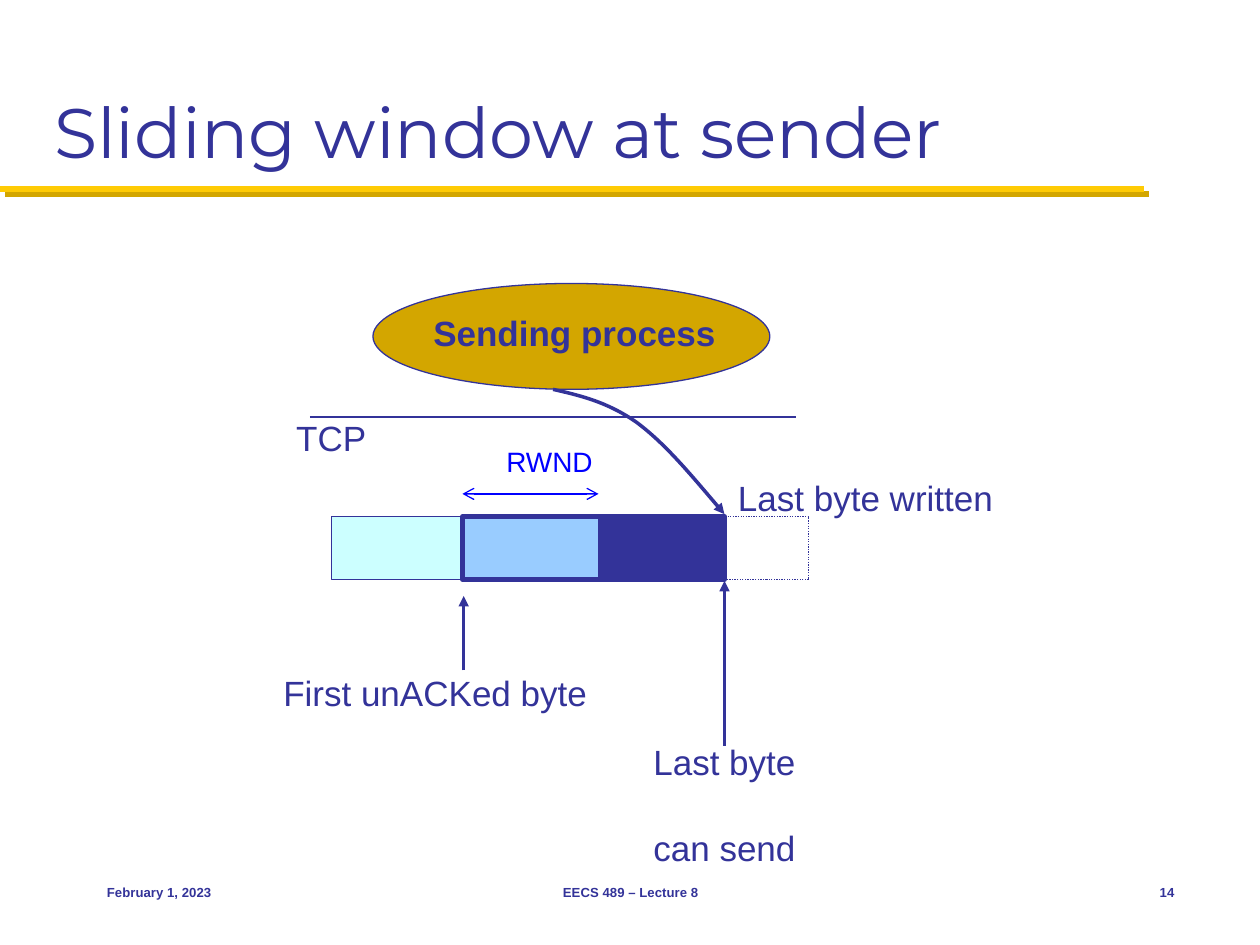
from dataclasses import dataclass

from lxml import etree
from pptx import Presentation
from pptx.dml.color import RGBColor
from pptx.enum.dml import MSO_LINE
from pptx.enum.shapes import MSO_CONNECTOR, MSO_SHAPE
from pptx.enum.text import MSO_ANCHOR, MSO_AUTO_SIZE, PP_ALIGN
from pptx.oxml.ns import qn
from pptx.util import Inches, Pt

STRAIGHT = MSO_CONNECTOR.STRAIGHT
RECT, OVAL = MSO_SHAPE.RECTANGLE, MSO_SHAPE.OVAL
DOTTED = MSO_LINE.ROUND_DOT
LEFT, CENTER, RIGHT = PP_ALIGN.LEFT, PP_ALIGN.CENTER, PP_ALIGN.RIGHT
TOP, MIDDLE, BOTTOM = MSO_ANCHOR.TOP, MSO_ANCHOR.MIDDLE, MSO_ANCHOR.BOTTOM


@dataclass(frozen=True)
class Theme:
    """Colours, fonts and type sizes of the slide."""
    ink: str = "333399"
    gold: str = "D3A600"
    yellow: str = "FFCB05"
    acked: str = "CCFFFF"
    window: str = "99CCFF"
    rwnd: str = "0000FF"
    title_font: str = "Montserrat"
    font: str = "Arial"
    title_size: float = 40
    label_size: float = 20
    small_size: float = 16
    footer_size: float = 7.5


THEME = Theme()


def rgb(color):
    """Turn a hex string into a colour."""
    return RGBColor.from_string(color)


def place(s, at):
    """Move a shape to (left, top, width, height) in inches."""
    s.left, s.top, s.width, s.height = map(Inches, at)


def write(p, text, size, color=THEME.ink, font=THEME.font, bold=False):
    """Add one formatted run to a paragraph."""
    r = p.add_run()
    r.text = text
    r.font.name, r.font.size, r.font.bold = font, Pt(size), bold
    r.font.color.rgb = rgb(color)


def set_line(s, color, width, head=None, tail=None):
    """Set line colour and width, and arrowheads where wanted."""
    s.line.color.rgb = rgb(color)
    s.line.width = Pt(width)
    ln = s.line._get_or_add_ln()
    for tag, kind in (("a:headEnd", head), ("a:tailEnd", tail)):
        if kind:
            etree.SubElement(ln, qn(tag), type=kind)


def add_title(slide, text):
    """Fill the title placeholder."""
    s = slide.shapes.title
    place(s, (0.33, 0.17, 9.33, 1.25))
    tf = s.text_frame
    tf.auto_size, tf.vertical_anchor = MSO_AUTO_SIZE.NONE, BOTTOM
    p = tf.paragraphs[0]
    p.alignment = LEFT
    write(p, text, THEME.title_size, font=THEME.title_font)


def add_label(slide, at, text, size=THEME.label_size, color=THEME.ink,
              align=CENTER, anchor=TOP, bold=False, gap=0):
    """Add an unwrapped label, one paragraph per line of text."""
    s = slide.shapes.add_textbox(*map(Inches, at))
    tf = s.text_frame
    tf.word_wrap, tf.vertical_anchor = False, anchor
    for i, words in enumerate(text.split("\n")):
        p = tf.add_paragraph() if i else tf.paragraphs[0]
        p.alignment = align
        p.space_before = Pt(gap if i else 0)
        write(p, words, size, color, bold=bold)


def add_box(slide, kind, at, fill=None, width=0.75, dash=None):
    """Add an outlined preset shape, filled or empty."""
    s = slide.shapes.add_shape(kind, *map(Inches, at))
    s.shadow.inherit = False
    if fill:
        s.fill.solid()
        s.fill.fore_color.rgb = rgb(fill)
    else:
        s.fill.background()
    set_line(s, THEME.ink, width)
    if dash:
        s.line.dash_style = dash


def add_line(slide, start, end, color=THEME.ink, width=0.75, head=None, tail=None):
    """Add a straight line; return it with its empty effect list."""
    s = slide.shapes.add_connector(STRAIGHT, *map(Inches, start + end))
    set_line(s, color, width, head, tail)
    effects = etree.SubElement(s._element.spPr, qn("a:effectLst"))
    return s, effects


def add_title_rule(slide):
    """Draw the yellow rule with its gold shadow behind everything."""
    s, effects = add_line(slide, (0, 1.5), (9.08, 1.5), THEME.yellow, 3.5)
    shadow = etree.SubElement(effects, qn("a:outerShdw"), dist=str(Pt(4.2)),
                              dir="2700000", algn="ctr", rotWithShape="0")
    etree.SubElement(shadow, qn("a:srgbClr"), val=THEME.gold)
    slide.shapes._spTree.insert(2, s._element)


def add_curve(slide, start, points, width):
    """Draw a curved arrow; each three points make one Bezier segment."""
    builder = slide.shapes.build_freeform(*map(Inches, start), scale=1.0)
    builder.add_line_segments([tuple(map(Inches, pt)) for pt in points], close=False)
    s = builder.convert_to_shape()
    s.shadow.inherit = False
    s.fill.background()
    set_line(s, THEME.ink, width, tail="triangle")
    segments = list(s._element.iter(qn("a:lnTo")))
    outline = segments[0].getparent()
    for i in range(0, len(segments), 3):
        bezier = etree.SubElement(outline, qn("a:cubicBezTo"))
        for segment in segments[i:i + 3]:
            bezier.append(segment[0])
            outline.remove(segment)


def add_process(slide):
    """Draw the sending process and the line above TCP."""
    add_box(slide, OVAL, (2.96, 2.25, 3.15, 0.84), THEME.gold)
    add_label(slide, (3.34, 2.42, 2.44, 0.43), "Sending process", bold=True)
    add_line(slide, (2.46, 3.31), (6.32, 3.31))
    add_label(slide, (2.25, 3.26, 0.76, 0.43), "TCP")


def add_buffer(slide):
    """Draw the byte buffer with its window and pointers."""
    top, height = 4.1, 0.5
    first, window_end, last = 3.67, 4.75, 5.75
    add_box(slide, RECT, (2.63, top, first - 2.63, height), THEME.acked)
    add_box(slide, RECT, (first, top, last - first, height), THEME.window, 2.5)
    add_box(slide, RECT, (last, top, 0.67, height), dash=DOTTED)
    add_box(slide, RECT, (window_end, top, last - window_end, 0.48), THEME.ink)
    add_curve(slide, (4.39, 3.09),
              [(4.61, 3.14), (4.82, 3.19), (5.05, 3.35),
               (5.28, 3.52), (5.51, 3.8), (last, 4.08)], 2)
    for x, low, high in ((3.68, 5.32, 4.73), (last, 5.92, 4.61)):
        add_line(slide, (x, low), (x, high), width=1.5, tail="triangle")
    add_line(slide, (first, 3.92), (window_end, 3.92), THEME.rwnd,
             head="arrow", tail="arrow")
    add_label(slide, (3.92, 3.48, 0.89, 0.37), "RWND", THEME.small_size,
              THEME.rwnd, LEFT)
    add_label(slide, (2.14, 5.28, 2.63, 0.44), "First unACKed byte")
    add_label(slide, (5.08, 5.83, 1.34, 0.77), "Last byte\ncan send", gap=25)
    add_label(slide, (last, 3.73, 2.24, 0.44), "Last byte written")


def add_footer(slide):
    """Add date, lecture and slide number."""
    for left, width, text, align in ((0.75, 2.08, "February 1, 2023", LEFT),
                                     (3.42, 3.17, "EECS 489 – Lecture 8", CENTER),
                                     (8.75, 0.67, "14", RIGHT)):
        add_label(slide, (left, 6.83, width, 0.5), text, THEME.footer_size,
                  align=align, anchor=MIDDLE, bold=True)


def main():
    """Build the slide and save it."""
    prs = Presentation()
    prs.slide_width, prs.slide_height = Inches(10), Inches(7.5)
    slide = prs.slides.add_slide(prs.slide_layouts[5])
    add_title_rule(slide)
    add_title(slide, "Sliding window at sender")
    add_process(slide)
    add_buffer(slide)
    add_footer(slide)
    prs.save("out.pptx")


main()
